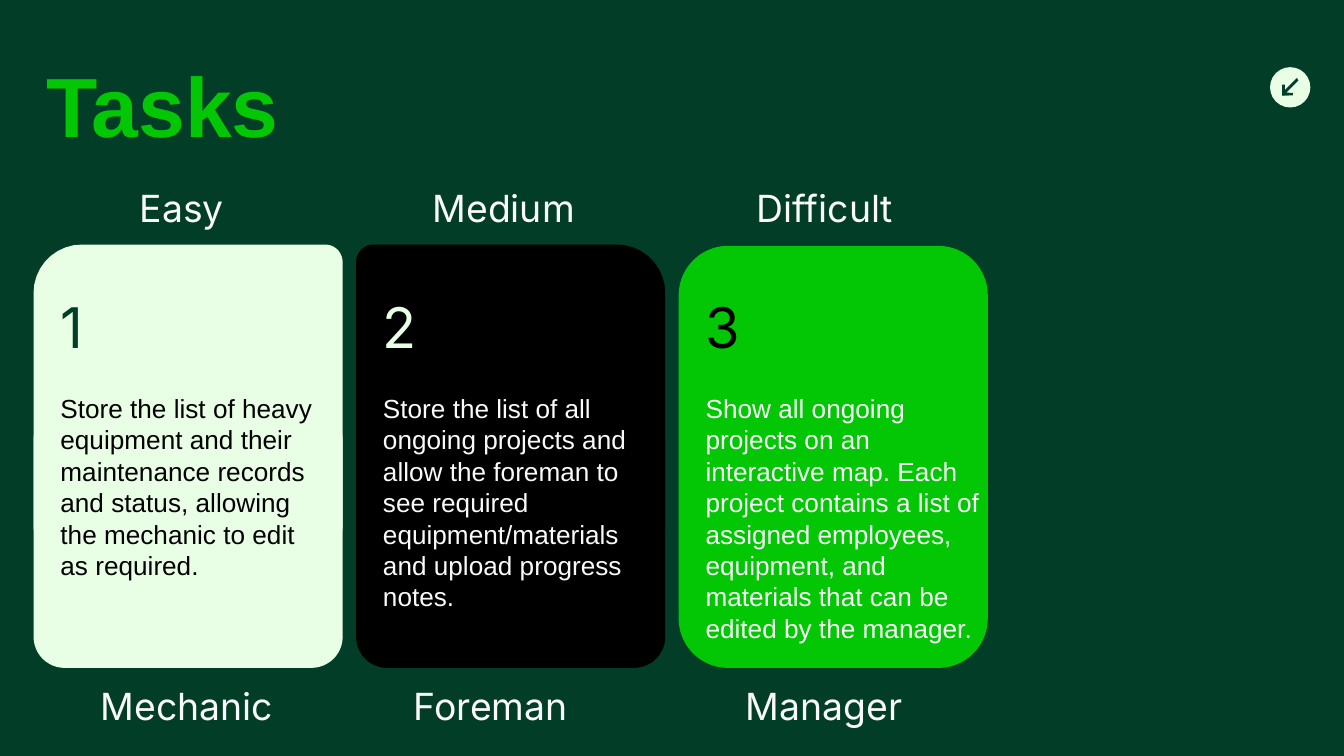
import math

import pptx
import pptx.dml.color
import pptx.enum.shapes
import pptx.util
from pptx.util import Inches

RGBColor = pptx.dml.color.RGBColor
FOREST = RGBColor(0x01, 0x3D, 0x27)
MINT = RGBColor(0xE9, 0xFF, 0xE5)
GREEN = RGBColor(0x03, 0xC7, 0x04)
BLACK = RGBColor(0x00, 0x00, 0x00)
OFF_WHITE = RGBColor(0xFA, 0xFA, 0xFA)

SHAPE = pptx.enum.shapes.MSO_SHAPE


def paint(shape, color):
    shape.shadow.inherit = False
    shape.fill.solid()
    shape.fill.fore_color.rgb = color
    shape.line.fill.background()


def add_text(text, left, top, width, height, *, size, color, font="Inter", bold=False,
             spacing=1.0, insets=(0.1, 0.1, 0.1, 0.1)):
    """Add a one-paragraph text box; insets run left, top, right, bottom in inches."""
    box = slide.shapes.add_textbox(Inches(left), Inches(top), Inches(width), Inches(height))
    frame = box.text_frame
    frame.word_wrap = True
    frame.margin_left, frame.margin_top, frame.margin_right, frame.margin_bottom = map(Inches, insets)
    paragraph = frame.paragraphs[0]
    paragraph.line_spacing = spacing
    run = paragraph.add_run()
    run.text = text
    run.font.name = font
    run.font.size = pptx.util.Pt(size)
    run.font.bold = bold
    run.font.color.rgb = color


presentation = pptx.Presentation()
presentation.slide_width = Inches(10)
presentation.slide_height = Inches(10 * 9 / 16)
slide = presentation.slides.add_slide(presentation.slide_layouts[6])
slide.background.fill.solid()
slide.background.fill.fore_color.rgb = FOREST

# Round badge with an arrow pointing down and left
badge = slide.shapes.add_shape(SHAPE.OVAL, Inches(9.45), Inches(0.5), Inches(0.3), Inches(0.3))
paint(badge, MINT)
arrow_points = [(9.59, 0.71), (9.59, 0.69), (9.57, 0.69), (9.66, 0.6), (9.65, 0.58),
                (9.55, 0.68), (9.55, 0.65), (9.54, 0.65), (9.54, 0.71)]
arrow_points = [(Inches(x), Inches(y)) for x, y in arrow_points]
arrow = slide.shapes.build_freeform(*arrow_points[0])
arrow.add_line_segments(arrow_points[1:])
paint(arrow.convert_to_shape(), FOREST)
for left, top, width, height in [(9.54, 0.63, 0.02, 0.08), (9.54, 0.69, 0.08, 0.02)]:
    barb = slide.shapes.add_shape(
        SHAPE.RECTANGLE, Inches(left), Inches(top), Inches(width), Inches(height))
    paint(barb, FOREST)

add_text("Tasks", 0.25, 0.5, 4.7, 0.87, size=45, color=GREEN, font="Arial", bold=True,
         spacing=0.7)

CARD_LEFT, CARD_TOP, CARD_WIDTH, CARD_STEP = 0.25, 1.82, 2.3, 2.4
UPPER_HEIGHT = 2.23
WIDE, TIGHT = 0.36, 0.13  # corner radii

# fill, number colour, text colour, upper corner radii (top left, top right), text width,
# level and its left and width, role and its left, task
cards = [
    (MINT, FOREST, BLACK, (WIDE, TIGHT), 2.3, ("Easy", 0.94, 0.92), ("Mechanic", 0.65),
     "Store the list of heavy equipment and their maintenance records and status, "
     "allowing the mechanic to edit as required."),
    (BLACK, MINT, OFF_WHITE, (TIGHT, WIDE), 2.3, ("Medium", 3.12, 1.36), ("Foreman", 2.98),
     "Store the list of all ongoing projects and allow the foreman to see required "
     "equipment/materials and upload progress notes."),
    (GREEN, BLACK, OFF_WHITE, None, 2.45, ("Difficult", 5.53, 1.5), ("Manager", 5.45),
     "Show all ongoing projects on an interactive map. Each project contains a list of "
     "assigned employees, equipment, and materials that can be edited by the manager."),
]

for index, (fill, number_color, text_color, radii, text_width, level, role, task) in enumerate(cards):
    left = CARD_LEFT + index * CARD_STEP
    if radii:
        # Upper part with one wide corner, traced clockwise from the top left
        corners = []
        for turn, radius in enumerate((*radii, TIGHT, TIGHT)):
            center_x = left + (radius if turn in (0, 3) else CARD_WIDTH - radius)
            center_y = CARD_TOP + (radius if turn < 2 else UPPER_HEIGHT - radius)
            for degrees in range(180 + 90 * turn, 271 + 90 * turn, 10):
                angle = math.radians(degrees)
                corners.append((Inches(center_x + radius * math.cos(angle)),
                                Inches(center_y + radius * math.sin(angle))))
        upper = slide.shapes.build_freeform(*corners[0])
        upper.add_line_segments(corners[1:])
        paint(upper.convert_to_shape(), fill)
        body_top, body_height, rounding = 3.04, 1.93, 0.12
    else:
        body_top, body_height, rounding = 1.83, 3.14, 0.16
    body = slide.shapes.add_shape(SHAPE.ROUNDED_RECTANGLE, Inches(left), Inches(body_top),
                                  Inches(CARD_WIDTH), Inches(body_height))
    body.adjustments[0] = rounding
    paint(body, fill)

    add_text(str(index + 1), left, 2.17, 1.63, 0.48, size=30, color=number_color,
             spacing=0.8, insets=(0.2, 0.1, 0.1, 0.2))
    add_text(task, left, 2.92, text_width, 2.12, size=14, color=text_color, font="Arial",
             insets=(0.2, 0, 0.2, 0.1))
    level_name, level_left, level_width = level
    add_text(level_name, level_left, 1.28, level_width, 0.48, size=20, color=OFF_WHITE)
    role_name, role_left = role
    add_text(role_name, role_left, 4.98, 1.5, 0.48, size=20, color=OFF_WHITE)

presentation.save("out.pptx")
